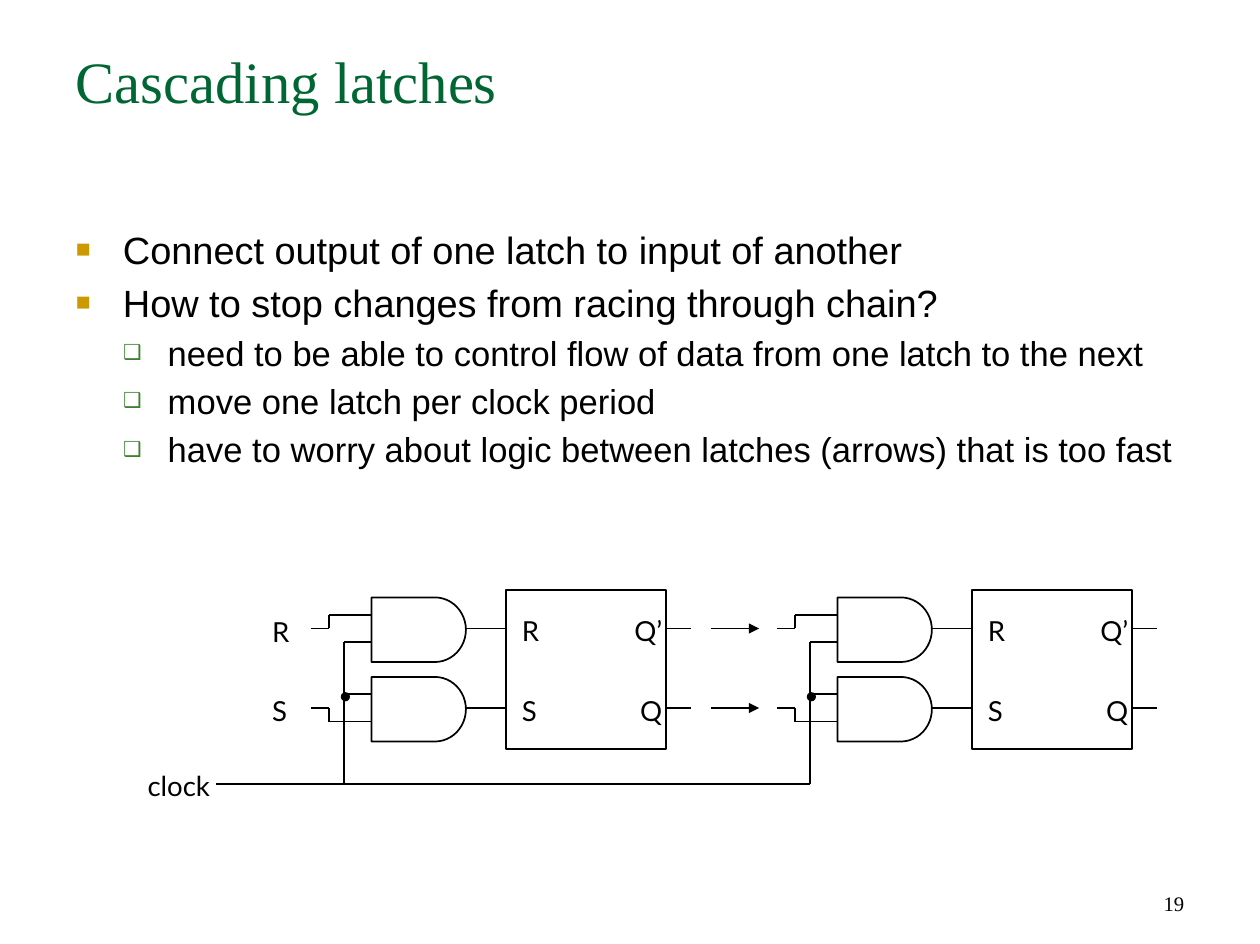
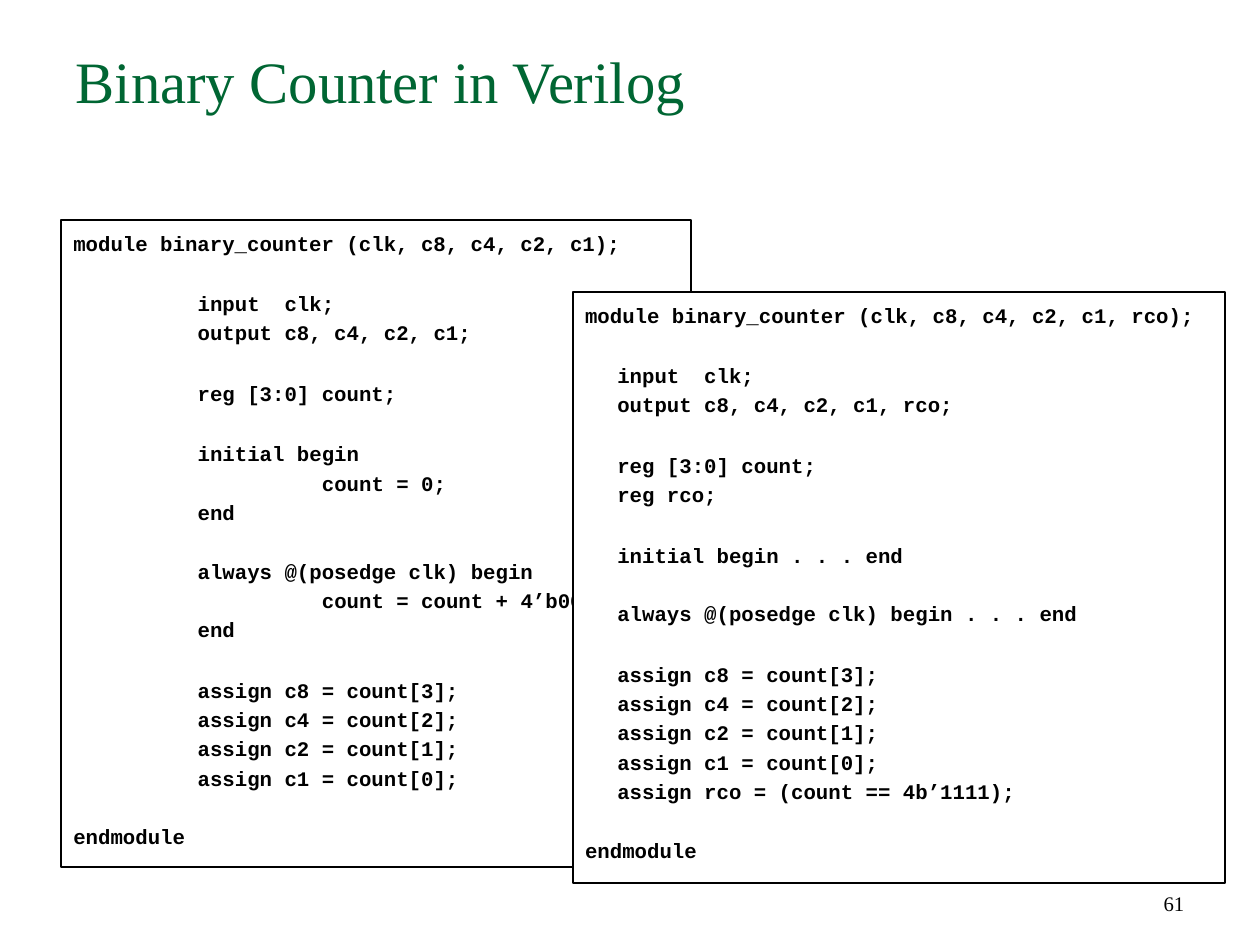
import math
from dataclasses import dataclass

from lxml import etree
from pptx import Presentation
from pptx import util as u
from pptx.dml.color import RGBColor
from pptx.enum import shapes, text
from pptx.oxml.ns import qn


@dataclass(frozen=True)
class Theme:
    ink: str = "000000"
    paper: str = "FFFFFF"
    heading: str = "006633"
    gold: str = "CC9900"
    green: str = "3B812F"
    serif: str = "Times New Roman"
    sans: str = "Arial"
    mono: str = "Courier New"
    label: str = "Lato"
    title_size: int = 34
    bullet_sizes: tuple = (22, 20)
    label_size: int = 16
    small_size: int = 12
    line_width: float = 1


THEME = Theme()
TITLE_BOX = (0.51, 0.31, 9.12, 1.26)
BODY_BOX = (0.51, 1.77, 9.12, 5.02)
NUMBER_BOX = (7.26, 6.91, 2.37, 0.51)
MARGINS = (0.1, 0.05)
LABEL_MARGINS = (0.02, 0.03)

BULLETS = [
    (0, "Connect output of one latch to input of another"),
    (0, "How to stop changes from racing through chain?"),
    (1, "need to be able to control flow of data from one latch to the next"),
    (1, "move one latch per clock period"),
    (1, "have to worry about logic between latches (arrows) that is too fast"),
]
# character, colour, size in percent, left margin, first-line indent
BULLET_STYLES = [
    ("■", THEME.gold, 65, 0.38, -0.38),
    ("❑", THEME.green, 60, 0.74, -0.36),
]

STAGE_LEFTS = (2.5, 6.25)
# input, output, height of the wire, side to which the input steps
ROWS = [("R", "Q’", 5.06, -1), ("S", "Q", 5.7, 1)]
CLOCK_Y = 6.31

ASSIGNMENTS = (
    "\tassign c8 = count[3];\n\tassign c4 = count[2];\n"
    "\tassign c2 = count[1];\n\tassign c1 = count[0];\n"
)
COUNTER_CODE = [
    "module binary_counter (clk, c8, c4, c2, c1);",
    "\tinput  clk;\n\toutput c8, c4, c2, c1;",
    "\treg [3:0] count;",
    "\tinitial begin\n\t\tcount = 0;\n\tend\n\n"
    "\talways @(posedge clk) begin\n\t\tcount = count + 4’b0001;\n\tend",
    ASSIGNMENTS + "\nendmodule",
]
CARRY_CODE = [
    "module binary_counter (clk, c8, c4, c2, c1, rco);",
    "\tinput  clk;\n\toutput c8, c4, c2, c1, rco;",
    "\treg [3:0] count;\n\treg rco;",
    "\tinitial begin . . . end\n\n\talways @(posedge clk) begin . . . end",
    ASSIGNMENTS + "\tassign rco = (count == 4b’1111);\n\nendmodule",
]


def inches(values):
    return [u.Inches(value) for value in values]


def set_all(target, values):
    for name, value in values.items():
        setattr(target, name, value)


def place(shape, box):
    set_all(shape, dict(zip(("left", "top", "width", "height"), inches(box))))


def prepare_frame(shape, margins=MARGINS, anchor=text.MSO_ANCHOR.TOP):
    across, down = inches(margins)
    set_all(shape.text_frame, {
        "word_wrap": True, "auto_size": text.MSO_AUTO_SIZE.NONE,
        "vertical_anchor": anchor, "margin_left": across,
        "margin_right": across, "margin_top": down, "margin_bottom": down,
    })
    return shape.text_frame


def write(paragraph, words, font, size, color=THEME.ink, bold=False, **spacing):
    paragraph.text = words
    set_all(paragraph, spacing)
    for run in paragraph.runs:
        set_all(run.font, {"name": font, "size": u.Pt(size), "bold": bold})
        run.font.color.rgb = RGBColor.from_string(color)


def paragraphs_for(frame, items):
    """Yield one paragraph of the frame with each item."""
    for index, item in enumerate(items):
        yield (frame.add_paragraph() if index else frame.paragraphs[0]), item


def indent(paragraph, left, first):
    properties = paragraph._p.get_or_add_pPr()
    properties.set("marL", str(u.Inches(left)))
    properties.set("indent", str(u.Inches(first)))
    return properties


def outline(shape, fill=None):
    shape.line.color.rgb = RGBColor.from_string(THEME.ink)
    shape.line.width = u.Pt(THEME.line_width)
    shape.shadow.inherit = False
    if fill:
        shape.fill.solid()
        shape.fill.fore_color.rgb = RGBColor.from_string(fill)


def start_slide(presentation, title, number):
    slide = presentation.slides.add_slide(presentation.slide_layouts[1])
    place(slide.shapes.title, TITLE_BOX)
    write(prepare_frame(slide.shapes.title).paragraphs[0], title, THEME.serif,
          THEME.title_size, THEME.heading, alignment=text.PP_ALIGN.LEFT)
    number_box = slide.shapes.add_textbox(*inches(NUMBER_BOX))
    frame = prepare_frame(number_box, anchor=text.MSO_ANCHOR.BOTTOM)
    write(frame.paragraphs[0], str(number), THEME.serif, THEME.small_size,
          alignment=text.PP_ALIGN.RIGHT)
    return slide


def add_bullets(body):
    place(body, BODY_BOX)
    for paragraph, (level, words) in paragraphs_for(prepare_frame(body), BULLETS):
        character, color, percent, left, first = BULLET_STYLES[level]
        size = THEME.bullet_sizes[level]
        properties = indent(paragraph, left, first)
        bullet_color = etree.SubElement(properties, qn("a:buClr"))
        etree.SubElement(bullet_color, qn("a:srgbClr"), val=color)
        etree.SubElement(properties, qn("a:buSzPct"), val=str(percent * 1000))
        etree.SubElement(properties, qn("a:buChar"), char=character)
        is_first = words == BULLETS[0][1]
        write(paragraph, words, THEME.sans, size, level=level,
              space_before=u.Pt(0 if is_first else size * 0.2))


def add_wire(slide, x1, y1, x2, y2, arrow=False):
    wire = slide.shapes.add_connector(
        shapes.MSO_CONNECTOR.STRAIGHT, *inches((x1, y1, x2, y2)))
    wire.line.color.rgb = RGBColor.from_string(THEME.ink)
    wire.line.width = u.Pt(THEME.line_width)
    if arrow:
        etree.SubElement(wire.line._get_or_add_ln(), qn("a:tailEnd"), type="triangle")
    etree.SubElement(wire._element.spPr, qn("a:effectLst"))


def add_label(slide, words, box, alignment=text.PP_ALIGN.LEFT, spacing=21):
    label = slide.shapes.add_textbox(*inches(box))
    write(prepare_frame(label, LABEL_MARGINS).paragraphs[0], words, THEME.label,
          THEME.label_size, alignment=alignment, line_spacing=u.Pt(spacing))


def add_and_gate(slide, left, middle):
    straight, radius_x, radius_y, steps = 0.51, 0.25, 0.26, 24
    angles = [math.pi * (step / steps - 0.5) for step in range(steps + 1)]
    curve = [inches((left + straight + radius_x * math.cos(angle),
                     middle + radius_y * math.sin(angle))) for angle in angles]
    corner = inches((left, middle - radius_y))
    builder = slide.shapes.build_freeform(*corner, scale=1.0)
    builder.add_line_segments(
        curve + [inches((left, middle + radius_y))], close=True)
    outline(builder.convert_to_shape(), THEME.paper)


def add_stage(slide, left):
    """Draw a clocked latch: two gates, the latch box and its wires."""
    step, clock, gate = left + 0.15, left + 0.27, left + 0.49
    gate_end, latch, latch_end = left + 1.25, left + 1.57, left + 2.86
    outline(slide.shapes.add_shape(
        shapes.MSO_SHAPE.RECTANGLE,
        *inches((latch, 4.75, latch_end - latch, 1.28))), THEME.paper)
    for source, output, y, side in ROWS:
        stepped, tap = y + side * 0.11, y - side * 0.11
        add_and_gate(slide, gate, y + 0.01)
        for ends in [
            (left, y, step, y), (step, y, step, stepped),
            (step, stepped, gate, stepped), (clock, tap, gate, tap),
            (gate_end, y, latch, y), (latch_end, y, latch_end + 0.2, y),
        ]:
            add_wire(slide, *ends)
        add_label(slide, source, (latch + 0.11, y - 0.17, 0.4, 0.43))
        add_label(slide, output, (latch_end - 0.61, y - 0.17, 0.6, 0.43),
                  text.PP_ALIGN.RIGHT)
    add_wire(slide, clock, ROWS[0][2] + 0.11, clock, CLOCK_Y)
    dot = slide.shapes.add_shape(
        shapes.MSO_SHAPE.OVAL, *inches((clock - 0.02, 5.58, 0.06, 0.06)))
    outline(dot, THEME.ink)


def add_circuit(slide):
    for left in STAGE_LEFTS:
        add_stage(slide, left)
    for source, _, y, _ in ROWS:
        add_label(slide, source, (2.17, y - 0.18, 0.3, 0.44), spacing=22)
        add_wire(slide, 5.72, y, 6.11, y, arrow=True)
    add_label(slide, "clock", (0.67, 6.12, 1.04, 0.44), text.PP_ALIGN.RIGHT, 22)
    add_wire(slide, 1.74, CLOCK_Y, STAGE_LEFTS[-1] + 0.27, CLOCK_Y)


def add_code(shape, blocks, tab_width, fill=None):
    outline(shape, fill)
    for paragraph, block in paragraphs_for(prepare_frame(shape), blocks):
        properties = indent(paragraph, 0, 0)
        properties.set("defTabSz", str(u.Inches(tab_width)))
        etree.SubElement(properties, qn("a:buNone"))
        write(paragraph, block, THEME.mono, THEME.small_size, bold=True,
              alignment=text.PP_ALIGN.LEFT, line_spacing=u.Pt(17),
              space_before=u.Pt(0), space_after=u.Pt(18))


def main():
    presentation = Presentation()
    set_all(presentation, {"slide_width": u.Inches(10.14),
                           "slide_height": u.Inches(7.6)})

    latches = start_slide(presentation, "Cascading latches", 19)
    add_bullets(latches.placeholders[1])
    add_circuit(latches)

    counter = start_slide(presentation, "Binary Counter in Verilog", 61)
    body = counter.placeholders[1]
    place(body, (0.49, 1.77, 5.07, 5.21))
    add_code(body, COUNTER_CODE, 1)
    carry_box = counter.shapes.add_shape(
        shapes.MSO_SHAPE.RECTANGLE, *inches((4.61, 2.35, 5.25, 4.76)))
    add_code(carry_box, CARRY_CODE, 0.26, THEME.paper)

    presentation.save("out.pptx")


if __name__ == "__main__":
    main()
